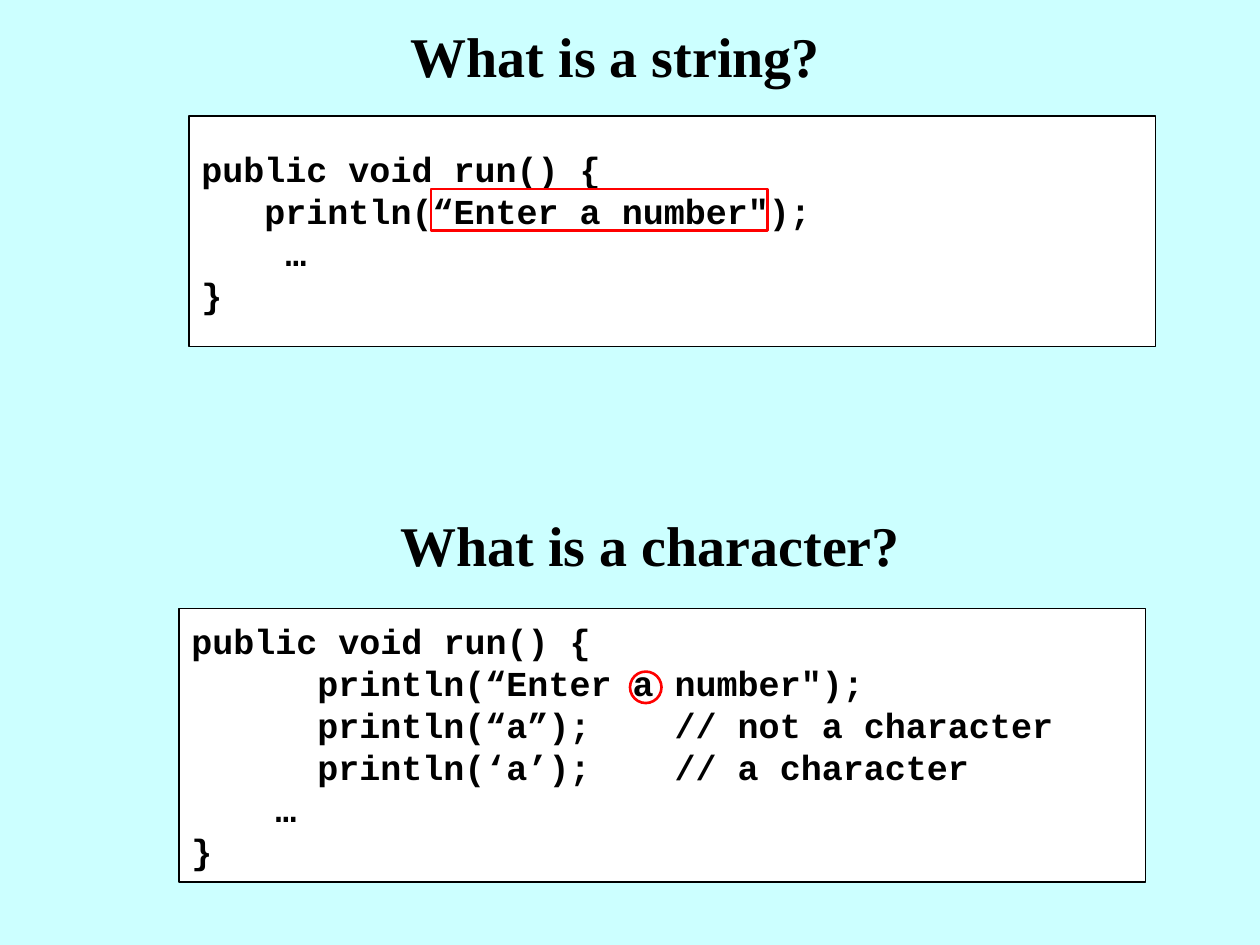
from lxml import etree
from pptx import Presentation
from pptx.dml.color import RGBColor
from pptx.enum.shapes import MSO_SHAPE
from pptx.enum.text import MSO_ANCHOR, MSO_AUTO_SIZE, PP_ALIGN
from pptx.oxml.ns import qn
from pptx.util import Inches, Pt

BACKGROUND = RGBColor(0xCC, 0xFF, 0xFF)
WHITE = RGBColor(0xFF, 0xFF, 0xFF)
BLACK = RGBColor(0x00, 0x00, 0x00)
RED = RGBColor(0xFF, 0x00, 0x00)

TITLE_FONT = {"name": "Times New Roman", "size": Pt(32), "bold": True}
CODE_FONT = {"name": "Courier New", "size": Pt(20), "bold": True}


class SlideBuilder:
    """Holds the style and the current slide."""

    def __init__(self, slide):
        self.slide = slide
        slide.background.fill.solid()
        slide.background.fill.fore_color.rgb = BACKGROUND

    def format_paragraph(self, paragraph, font_format):
        paragraph.alignment = PP_ALIGN.LEFT
        for name, value in font_format.items():
            setattr(paragraph.font, name, value)
        paragraph.font.color.rgb = BLACK

    def add_tab_stop(self, paragraph, position):
        properties = paragraph._p.get_or_add_pPr()
        tab_list = etree.SubElement(properties, qn("a:tabLst"))
        etree.SubElement(tab_list, qn("a:tab"), pos=str(position), algn="l")

    def add_title(self, text, left, top, width):
        box = self.slide.shapes.add_textbox(
            Inches(left), Inches(top), Inches(width), Inches(0.53))
        frame = box.text_frame
        frame_format = {
            "margin_left": 0, "margin_top": 0, "margin_right": 0,
            "margin_bottom": 0, "word_wrap": True,
            "auto_size": MSO_AUTO_SIZE.NONE,
        }
        for name, value in frame_format.items():
            setattr(frame, name, value)
        frame.text = text
        self.format_paragraph(frame.paragraphs[0], TITLE_FONT)

    def add_outline(self, kind, left, top, width, height, color, weight):
        shape = self.slide.shapes.add_shape(
            kind, Inches(left), Inches(top), Inches(width), Inches(height))
        shape.shadow.inherit = False
        shape.fill.background()
        shape.line.color.rgb = color
        shape.line.width = Pt(weight)
        return shape

    def add_code(self, lines, left, top, height):
        shape = self.add_outline(
            MSO_SHAPE.RECTANGLE, left, top, 7.67, height, BLACK, 0.75)
        shape.fill.solid()
        shape.fill.fore_color.rgb = WHITE
        frame = shape.text_frame
        frame.word_wrap = True
        frame.vertical_anchor = MSO_ANCHOR.MIDDLE
        frame.text = "\n".join(lines)
        for paragraph in frame.paragraphs:
            self.add_tab_stop(paragraph, Inches(1))
            self.format_paragraph(paragraph, CODE_FONT)

    def add_marker(self, kind, left, top, width, height):
        self.add_outline(kind, left, top, width, height, RED, 1.5)


def main():
    presentation = Presentation()
    presentation.slide_width = Inches(10)
    presentation.slide_height = Inches(7.5)
    builder = SlideBuilder(
        presentation.slides.add_slide(presentation.slide_layouts[6]))

    # String example
    builder.add_title("What is a string?", 3.26, 0.17, 3.35)
    builder.add_code([
        "public void run() {",
        "   println(“Enter a number\");",
        "    …",
        "}",
    ], 1.5, 0.92, 1.83)

    # Character example
    builder.add_title("What is a character?", 3.18, 4.05, 4.07)
    builder.add_code([
        "public void run() {",
        "\tprintln(“Enter a number\");",
        "\tprintln(“a”);    // not a character",
        "\tprintln(‘a’);    // a character",
        "    …",
        "}",
    ], 1.42, 4.83, 2.17)

    # Red markers around the character and the string
    builder.add_marker(MSO_SHAPE.OVAL, 5, 5.33, 0.25, 0.25)
    builder.add_marker(MSO_SHAPE.RECTANGLE, 3.42, 1.5, 2.67, 0.33)

    presentation.save("out.pptx")


if __name__ == "__main__":
    main()
